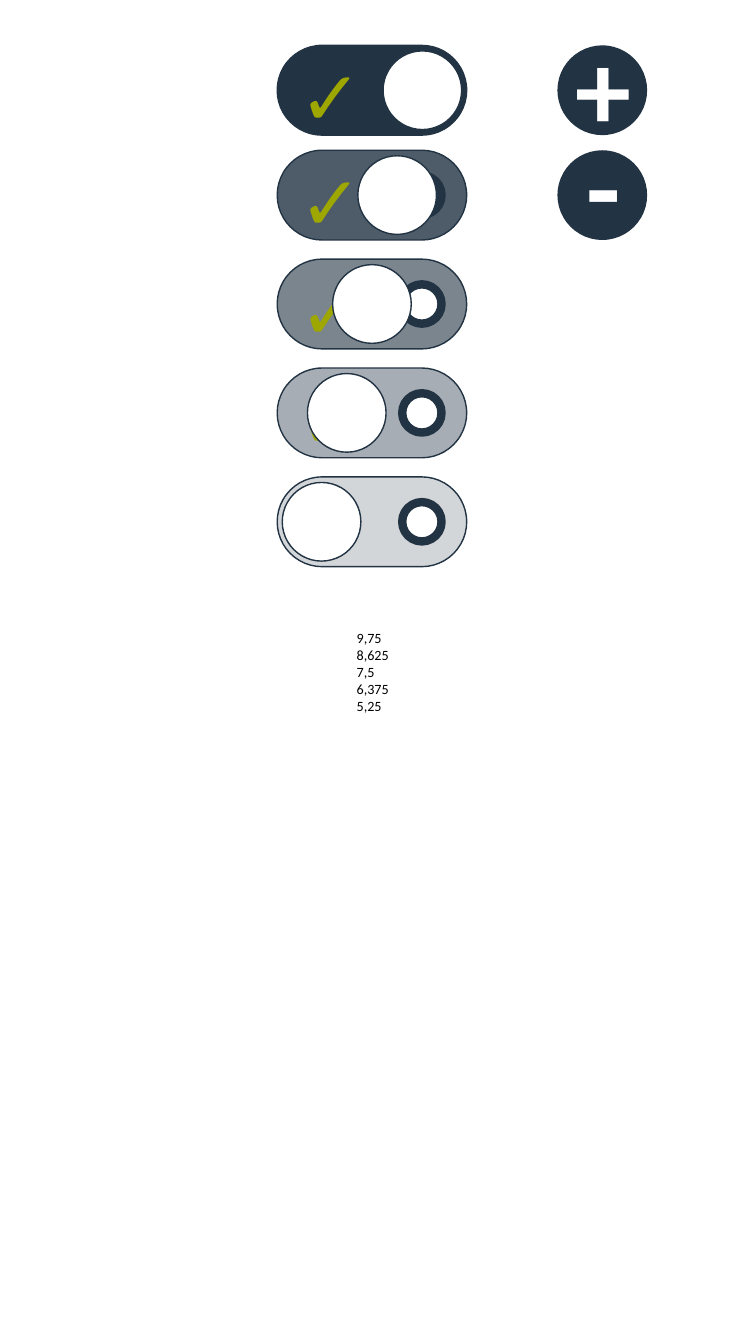
"""Build a slide with the five stages of a toggle switch and two round buttons."""
from dataclasses import dataclass

from pptx import Presentation
from pptx.dml.color import RGBColor
from pptx.enum.shapes import MSO_SHAPE as Preset
from pptx.enum.text import MSO_AUTO_SIZE as AutoSize
from pptx.shapes.autoshape import Shape
from pptx.slide import Slide
from pptx.util import Inches, Pt

NAVY = RGBColor(0x22, 0x33, 0x43)
SLATE = RGBColor(0x4E, 0x5C, 0x69)
GREY = RGBColor(0x7A, 0x85, 0x8E)
SILVER = RGBColor(0xA7, 0xAD, 0xB4)
PALE = RGBColor(0xD3, 0xD6, 0xD9)
WHITE = RGBColor(0xFF, 0xFF, 0xFF)
BLACK = RGBColor(0x00, 0x00, 0x00)
OLIVE = RGBColor(0x9E, 0xA7, 0x00)

TRACK_LEFT, TRACK_WIDTH, TRACK_HEIGHT = 2.75, 1.88, 0.89
KNOB_START, KNOB_STEP, KNOB_SIZE = 3.8, 0.25, 0.78
RING_LEFT, RING_SIZE = 3.99, 0.39
BUTTON_LEFT = 5.53

CHECK_FORMAT = {"name": "Calibri", "size": Pt(54), "bold": True}
SIGN_FORMAT = {"name": "Calibri", "size": Pt(80), "bold": True}
NUMBER_FORMAT = {"name": "Calibri", "size": Pt(10.1)}


@dataclass(frozen=True)
class Box:
    """Position and size in inches."""
    left: float
    top: float
    width: float
    height: float


@dataclass(frozen=True)
class Toggle:
    """One stage of the switch."""
    top: float
    track_color: RGBColor
    has_ring: bool = True
    has_check: bool = True


@dataclass(frozen=True)
class Button:
    """A round button with its sign."""
    top: float
    sign: str
    sign_left: float
    sign_top: float


TOGGLES = [
    Toggle(0.45, NAVY, has_ring=False),
    Toggle(1.49, SLATE),
    Toggle(2.57, GREY),
    Toggle(3.65, SILVER),
    Toggle(4.73, PALE, has_check=False),
]
BUTTONS = [Button(0.45, "+", 5.61, 0.13), Button(1.49, "-", 5.72, 1.11)]
NUMBERS = ["9,75", "8,625", "7,5", "6,375", "5,25"]


def to_lengths(box: Box) -> list[Inches]:
    """Return the box as python-pptx lengths."""
    return [Inches(value) for value in (box.left, box.top, box.width, box.height)]


def add_outline(slide: Slide, preset: Preset, box: Box, fill: RGBColor,
                line_width: float = 0) -> Shape:
    """Add a filled shape, with a navy line when it has a width."""
    shape = slide.shapes.add_shape(preset, *to_lengths(box))
    shape.shadow.inherit = False
    shape.fill.solid()
    shape.fill.fore_color.rgb = fill
    if line_width:
        shape.line.color.rgb = NAVY
        shape.line.width = Pt(line_width)
    else:
        shape.line.fill.background()
    return shape


def add_text(slide: Slide, box: Box, lines: list[str], color: RGBColor,
             font_format: dict, wrap: bool = True) -> None:
    """Add a text box with one paragraph per line."""
    frame = slide.shapes.add_textbox(*to_lengths(box)).text_frame
    frame.word_wrap = wrap
    frame.auto_size = AutoSize.SHAPE_TO_FIT_TEXT
    frame.text = "\n".join(lines)
    for paragraph in frame.paragraphs:
        for run in paragraph.runs:
            run.font.color.rgb = color
            for name, value in font_format.items():
                setattr(run.font, name, value)


def add_toggle(slide: Slide, toggle: Toggle, knob_left: float) -> None:
    """Add the track, ring, check mark and knob of a switch."""
    top = toggle.top
    track = add_outline(slide, Preset.ROUNDED_RECTANGLE,
                        Box(TRACK_LEFT, top, TRACK_WIDTH, TRACK_HEIGHT),
                        toggle.track_color, 1)
    track.adjustments[0] = 0.5
    if toggle.has_ring:
        ring_top = top + (TRACK_HEIGHT - RING_SIZE) / 2
        add_outline(slide, Preset.OVAL,
                    Box(RING_LEFT, ring_top, RING_SIZE, RING_SIZE), WHITE, 6)
    if toggle.has_check:
        add_text(slide, Box(2.87, top, 0.8, 1.01), ["✓"], OLIVE, CHECK_FORMAT)
    knob_top = top + (TRACK_HEIGHT - KNOB_SIZE) / 2
    add_outline(slide, Preset.OVAL,
                Box(knob_left, knob_top, KNOB_SIZE, KNOB_SIZE), WHITE, 1)


def add_button(slide: Slide, button: Button) -> None:
    """Add a round button and its sign."""
    add_outline(slide, Preset.OVAL,
                Box(BUTTON_LEFT, button.top, TRACK_HEIGHT, TRACK_HEIGHT), NAVY)
    add_text(slide, Box(button.sign_left, button.sign_top, 0.33, 2.79),
             [button.sign], WHITE, SIGN_FORMAT)


def main() -> None:
    """Build and save the presentation."""
    presentation = Presentation()
    presentation.slide_width = Inches(7.5)
    presentation.slide_height = Inches(13.33)
    slide = presentation.slides.add_slide(presentation.slide_layouts[6])
    for index, toggle in enumerate(TOGGLES):
        add_toggle(slide, toggle, KNOB_START - index * KNOB_STEP)
    add_text(slide, Box(3.44, 6.19, 0.52, 0.95), NUMBERS, BLACK,
             NUMBER_FORMAT, wrap=False)
    for button in BUTTONS:
        add_button(slide, button)
    presentation.save("out.pptx")


if __name__ == "__main__":
    main()
